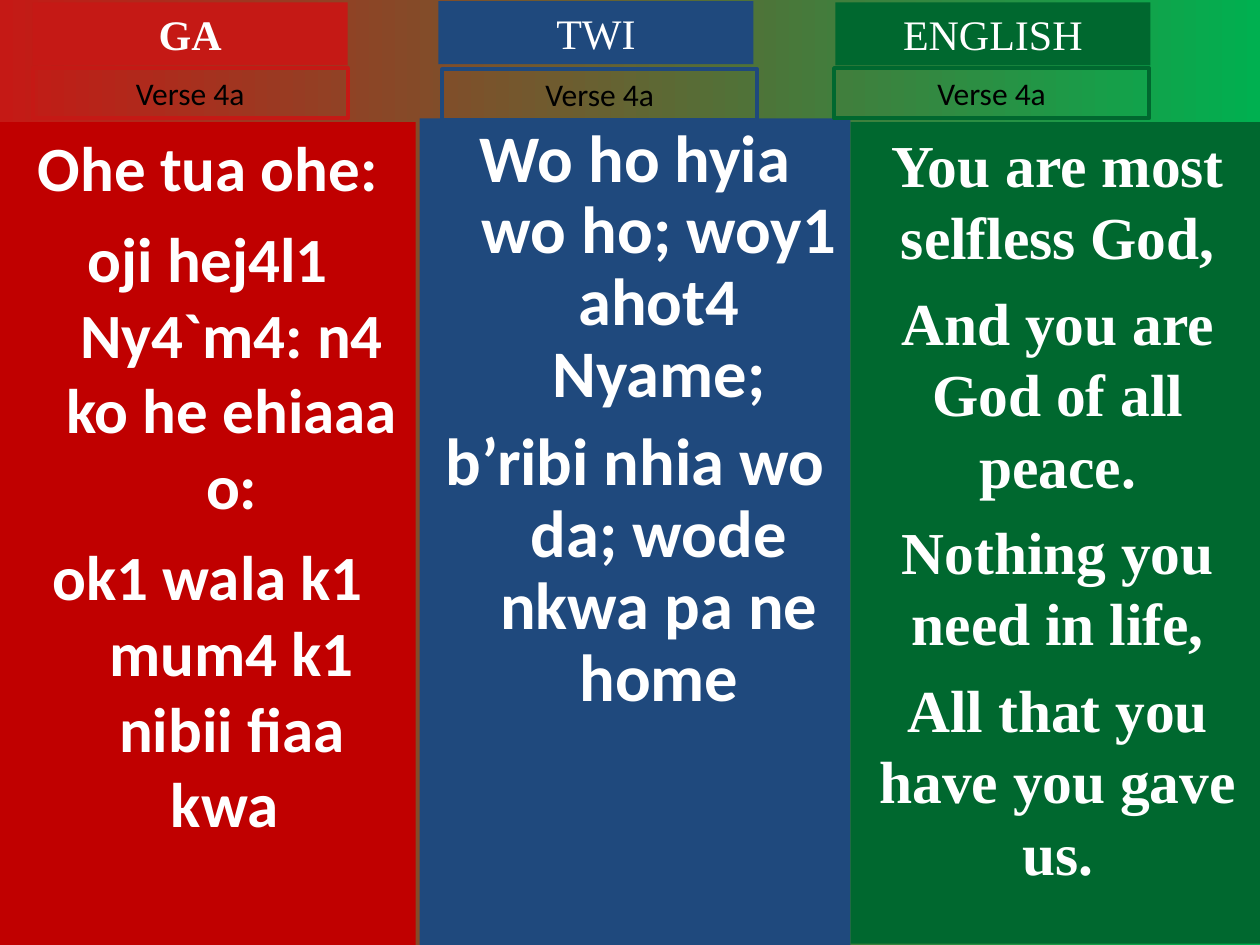
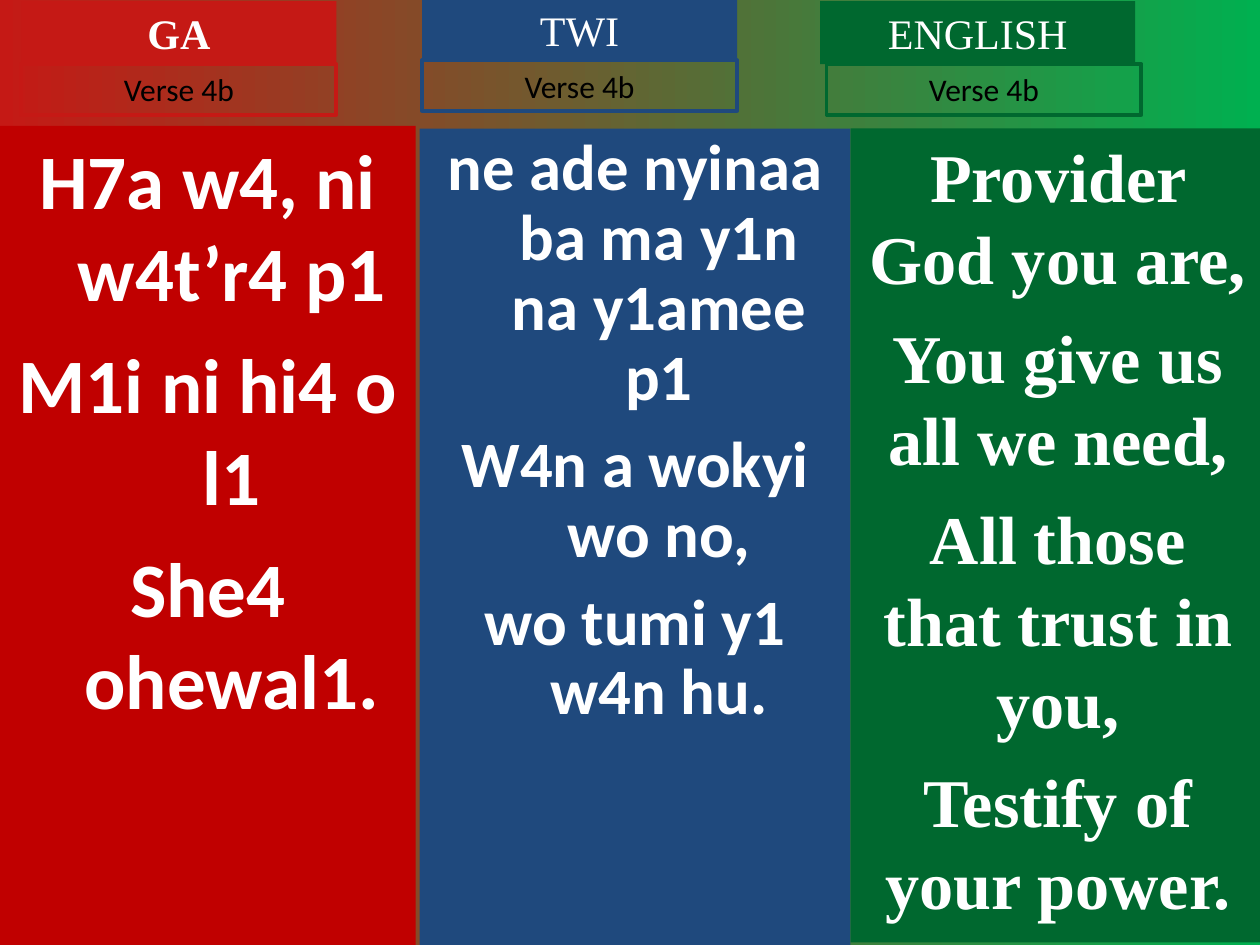
from typing import NamedTuple

from pptx import Presentation
from pptx.dml.color import RGBColor
from pptx.enum.shapes import MSO_SHAPE
from pptx.enum.text import MSO_ANCHOR, MSO_AUTO_SIZE, PP_ALIGN
from pptx.util import Emu, Pt

PX = 9144
SLIDE_W, SLIDE_H = 1000, 750
TITLE_W, TITLE_H, VERSE_H = 250, 50, 40
HANG = 38

RED = RGBColor(0xC5, 0x19, 0x15)
DARK_RED = RGBColor(0xC0, 0x00, 0x00)
BLUE = RGBColor(0x1F, 0x49, 0x7D)
GREEN = RGBColor(0x00, 0x68, 0x2F)
BRIGHT_GREEN = RGBColor(0x00, 0xB0, 0x50)
WHITE = RGBColor(0xFF, 0xFF, 0xFF)
BLACK = RGBColor(0x00, 0x00, 0x00)

SERIF, SANS = "Times New Roman", "Calibri"


class Box(NamedTuple):
    x: int
    y: int
    w: int
    h: int


class Language(NamedTuple):
    name: str
    accent: RGBColor
    panel: RGBColor
    title_bold: bool
    panel_x: int
    panel_w: int
    font: str
    hang: int
    line_spacing: float


class Lyrics(NamedTuple):
    title_at: tuple[int, int]
    verse_at: tuple[int, int]
    panel_y: int
    panel_h: int
    size: int
    gap: float
    lines: list[str]


class Verse(NamedTuple):
    label: str
    columns: list[Lyrics]


LANGUAGES = [
    Language("GA", RED, DARK_RED, True, 0, 330, SANS, HANG, 1.0),
    Language("TWI", BLUE, BLUE, False, 333, 342, SANS, HANG, 0.9),
    Language("ENGLISH", GREEN, GREEN, False, 675, 329, SERIF, 0, 1.0),
]

VERSES = [
    Verse("Verse 4a", [
        Lyrics((26, 2), (26, 54), 97, 653, 36, 9, [
            "Ohe tua ohe:",
            "oji hej4l1 Ny4`m4: n4 ko he ehiaaa o:",
            "ok1 wala k1 mum4 k1 nibii fiaa kwa ",
        ]),
        Lyrics((348, 1), (351, 55), 94, 656, 38, 9.5, [
            "Wo ho hyia wo ho; woy1 ahot4 Nyame;",
            "b’ribi nhia wo da; wode nkwa pa ne home",
        ]),
        Lyrics((663, 2), (662, 54), 97, 652, 34, 8.5, [
            "You are most selfless God,",
            "And you are God of all peace.",
            "Nothing you need in life,",
            "All that you have you gave us.",
        ]),
    ]),
    Verse("Verse 4b", [
        Lyrics((17, 1), (17, 51), 100, 650, 44, 11, [
            "H7a w4, ni w4t’r4 p1",
            "M1i ni hi4 o l1",
            "She4 ohewal1.",
        ]),
        Lyrics((335, -1), (335, 48), 102, 648, 37, 10, [
            "ne ade nyinaa ba ma y1n na y1amee p1",
            "W4n a wokyi wo no,",
            "wo tumi y1 w4n hu.",
        ]),
        Lyrics((651, 1), (656, 51), 102, 646, 39, 9.8, [
            "Provider God you are,",
            "You give us all we need,",
            "All those that trust in you,",
            "Testify of your power.",
        ]),
    ]),
]


def add_box(slide, box: Box, color: RGBColor, filled: bool = True):
    sp = slide.shapes.add_shape(MSO_SHAPE.RECTANGLE, *(Emu(v * PX) for v in box))
    sp.shadow.inherit = False
    if filled:
        sp.fill.solid()
        sp.fill.fore_color.rgb = color
        sp.line.fill.background()
    else:
        sp.fill.background()
        sp.line.color.rgb = color
        sp.line.width = Pt(2.25)
    return sp


def write(sp, lines: list[str], font: dict, color: RGBColor, gap: float = 0,
          line_spacing: float = 1.0, hang: int = 0, grow: bool = False) -> None:
    tf = sp.text_frame
    tf.word_wrap = True
    tf.vertical_anchor = MSO_ANCHOR.TOP
    tf.auto_size = MSO_AUTO_SIZE.SHAPE_TO_FIT_TEXT if grow else MSO_AUTO_SIZE.NONE
    for i, line in enumerate(lines):
        p = tf.add_paragraph() if i else tf.paragraphs[0]
        p.alignment = PP_ALIGN.CENTER
        p.line_spacing = line_spacing
        p.space_before = Pt(gap if i else 0)
        if hang:
            pPr = p._p.get_or_add_pPr()
            pPr.set("marL", str(hang * PX))
            pPr.set("indent", str(-hang * PX))
        r = p.add_run()
        r.text = line
        for key, value in font.items():
            setattr(r.font, key, value)
        r.font.color.rgb = color


def add_column(slide, lang: Language, lyrics: Lyrics, label: str) -> None:
    panel = Box(lang.panel_x, lyrics.panel_y, lang.panel_w, lyrics.panel_h)
    write(add_box(slide, panel, lang.panel), lyrics.lines,
          {"name": lang.font, "size": Pt(lyrics.size), "bold": True}, WHITE,
          lyrics.gap, lang.line_spacing, lang.hang)
    title = Box(*lyrics.title_at, TITLE_W, TITLE_H)
    write(add_box(slide, title, lang.accent), [lang.name],
          {"name": SERIF, "size": Pt(24), "bold": lang.title_bold}, WHITE, grow=True)
    verse = Box(*lyrics.verse_at, TITLE_W, VERSE_H)
    write(add_box(slide, verse, lang.accent, filled=False), [label],
          {"name": SANS, "size": Pt(18), "bold": False}, BLACK, grow=True)


def paint_background(slide) -> None:
    fill = slide.background.fill
    fill.gradient()
    fill.gradient_angle = 0
    for stop, position, color in zip(fill.gradient_stops, (0, 1), (RED, BRIGHT_GREEN)):
        stop.position = position
        stop.color.rgb = color


def main() -> None:
    prs = Presentation()
    prs.slide_width, prs.slide_height = Emu(SLIDE_W * PX), Emu(SLIDE_H * PX)
    for verse in VERSES:
        slide = prs.slides.add_slide(prs.slide_layouts[6])
        paint_background(slide)
        for lang, lyrics in zip(LANGUAGES, verse.columns):
            add_column(slide, lang, lyrics, verse.label)
    prs.save("out.pptx")


if __name__ == "__main__":
    main()
